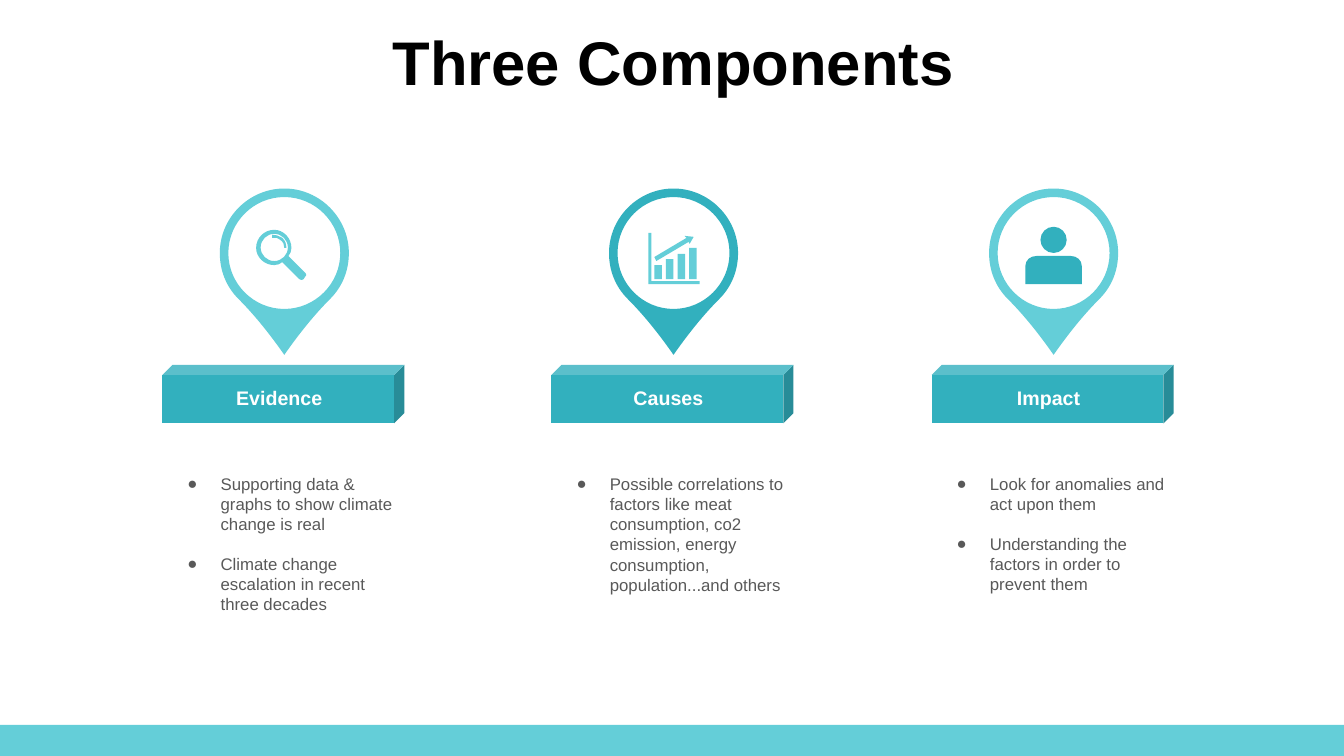
from dataclasses import dataclass

from lxml import etree
from pptx import Presentation
from pptx.dml.color import RGBColor
from pptx.enum.shapes import MSO_SHAPE
from pptx.enum.text import MSO_ANCHOR, PP_ALIGN
from pptx.oxml.ns import qn
from pptx.util import Inches, Pt

CUBE, BAR = MSO_SHAPE.CUBE, MSO_SHAPE.RECTANGLE
CENTER, LEFT = PP_ALIGN.CENTER, PP_ALIGN.LEFT
MIDDLE, TOP = MSO_ANCHOR.MIDDLE, MSO_ANCHOR.TOP

FONT = "Arial"
LIGHT, TEAL, GRAY = "64CED8", "32B0BE", "595959"
BLACK, WHITE = "000000", "FFFFFF"

PIN_OFFSET = 1.21  # from the left edge of a column to the centre of its pin
PIN_Y = 2.51

# A pair is a corner; six numbers are a Bezier curve (two controls and an end).
Contour = list[tuple[float, ...]]


def circle(x: float, y: float, r: float) -> Contour:
    k = 0.55 * r
    return [
        (x, y - r),
        (x + k, y - r, x + r, y - k, x + r, y),
        (x + r, y + k, x + k, y + r, x, y + r),
        (x - k, y + r, x - r, y + k, x - r, y),
        (x - r, y - k, x - k, y - r, x, y - r),
    ]


def box(left: float, top: float, right: float, bottom: float) -> Contour:
    return [(left, top), (right, top), (right, bottom), (left, bottom)]


# All icon contours are in inches from the centre of the pin.
PIN = [
    circle(0, 0, 0.555),
    [
        (0, -0.64),
        (0.35, -0.64, 0.64, -0.35, 0.64, 0),
        (0.64, 0.17, 0.58, 0.33, 0.455, 0.455),
        (0.29, 0.62, 0.14, 0.81, 0, 1.01),
        (-0.14, 0.81, -0.29, 0.62, -0.455, 0.455),
        (-0.58, 0.33, -0.64, 0.17, -0.64, 0),
        (-0.64, -0.35, -0.35, -0.64, 0, -0.64),
    ],
]

MAGNIFIER = [
    [(0.19, 0.18), (0.21, 0.2), (0.22, 0.21, 0.22, 0.23, 0.21, 0.23), (0.19, 0.26),
     (0.18, 0.27, 0.16, 0.27, 0.15, 0.26), (0.13, 0.24)],
    [(-0.12, -0.18), (-0.08, -0.18, -0.05, -0.17, -0.02, -0.15),
     (0.01, -0.12, 0.02, -0.09, 0.02, -0.05), (0, -0.05),
     (0, -0.08, -0.01, -0.11, -0.04, -0.13), (-0.06, -0.15, -0.09, -0.16, -0.12, -0.15)],
    circle(-0.1, -0.055, 0.135),
    [(-0.1, -0.23), (-0.01, -0.23, 0.07, -0.15, 0.07, -0.05),
     (0.07, -0.02, 0.06, 0.01, 0.04, 0.03), (0.19, 0.18), (0.13, 0.24), (-0.02, 0.09),
     (-0.04, 0.11, -0.07, 0.12, -0.1, 0.12), (-0.2, 0.12, -0.28, 0.04, -0.28, -0.05),
     (-0.28, -0.15, -0.2, -0.23, -0.1, -0.23)],
]

BAR_TOPS = [0.12, 0.06, 0.01, -0.05]
GROWTH_CHART = [
    *(box(-0.19 + 0.115 * i, top, -0.115 + 0.115 * i, 0.26) for i, top in enumerate(BAR_TOPS)),
    [(0.11, -0.17), (0.2, -0.16), (0.16, -0.09), (0.15, -0.11),
     (-0.17, 0.08), (-0.19, 0.04), (0.13, -0.15)],
    [(-0.25, -0.2), (-0.22, -0.2), (-0.22, 0.28), (0.26, 0.28), (0.26, 0.31), (-0.25, 0.31)],
]

PERSON = [
    [(-0.17, 0.03), (0.17, 0.03), (0.23, 0.03, 0.28, 0.07, 0.28, 0.13), (0.28, 0.31),
     (-0.28, 0.31), (-0.28, 0.13), (-0.28, 0.07, -0.23, 0.03, -0.17, 0.03)],
    circle(0, -0.13, 0.13),
]


@dataclass
class Component:
    left: float
    heading: str
    points: list[str]
    pin_color: str
    icon: list[Contour]
    icon_color: str


COMPONENTS = [
    Component(1.61, "Evidence",
              ["Supporting data & graphs to show climate change is real",
               "Climate change escalation in recent three decades"],
              LIGHT, MAGNIFIER, LIGHT),
    Component(5.47, "Causes",
              ["Possible correlations to factors like meat consumption, co2 emission, "
               "energy consumption, population...and others"],
              TEAL, GROWTH_CHART, LIGHT),
    Component(9.24, "Impact",
              ["Look for anomalies and act upon them",
               "Understanding the factors in order to prevent them"],
              LIGHT, PERSON, TEAL),
]


def paint(shape, color: str) -> None:
    shape.shadow.inherit = False
    shape.fill.solid()
    shape.fill.fore_color.rgb = RGBColor.from_string(color)
    shape.line.fill.background()


def add_solid(slide, kind, left: float, top: float, width: float, height: float, color: str):
    shape = slide.shapes.add_shape(kind, Inches(left), Inches(top), Inches(width), Inches(height))
    paint(shape, color)
    return shape


def add_outline(slide, contours: list[Contour], center_x: float, color: str) -> None:
    """Draw the contours as one freeform, bending its lines where a segment is a curve."""
    placed = [[[(Inches(center_x + x), Inches(PIN_Y + y))
                for x, y in zip(segment[::2], segment[1::2])] for segment in contour]
              for contour in contours]
    builder = slide.shapes.build_freeform(*placed[0][0][-1])
    for index, contour in enumerate(placed):
        if index:
            builder.move_to(*contour[0][-1])
        builder.add_line_segments([segment[-1] for segment in contour[1:]], close=True)
    shape = builder.convert_to_shape()
    segments = [segment for contour in placed for segment in contour[1:]]
    for line, segment in zip(list(shape._element.iter(qn("a:lnTo"))), segments):
        if len(segment) == 3:
            curve = etree.Element(qn("a:cubicBezTo"))
            for x, y in segment:
                etree.SubElement(curve, qn("a:pt"), x=str(x - shape.left), y=str(y - shape.top))
            line.getparent().replace(line, curve)
    paint(shape, color)


def add_bullet(paragraph) -> None:
    properties = paragraph._p.get_or_add_pPr()
    properties.set("marL", str(Inches(0.5)))
    properties.set("indent", str(Inches(-0.33)))
    bullet_color = etree.SubElement(properties, qn("a:buClr"))
    etree.SubElement(bullet_color, qn("a:srgbClr"), val=GRAY)
    etree.SubElement(properties, qn("a:buFont"), typeface=FONT)
    etree.SubElement(properties, qn("a:buChar"), char="●")


def add_text(slide, left: float, top: float, width: float, height: float, lines: list[str],
             size: float, color: str, bold=False, align=CENTER, anchor=TOP,
             bulleted=False, line_spacing=1.0) -> None:
    frame = slide.shapes.add_textbox(
        Inches(left), Inches(top), Inches(width), Inches(height)).text_frame
    frame.word_wrap = True
    frame.vertical_anchor = anchor
    for index, line in enumerate(lines):
        paragraph = frame.paragraphs[0] if index == 0 else frame.add_paragraph()
        paragraph.text = line
        if bulleted:
            add_bullet(paragraph)
        if index:
            paragraph.space_before = Pt(14)
        paragraph.alignment = align
        paragraph.line_spacing = line_spacing
        paragraph.font.name = FONT
        paragraph.font.size = Pt(size)
        paragraph.font.bold = bold
        paragraph.font.color.rgb = RGBColor.from_string(color)


def add_component(slide, part: Component) -> None:
    base = add_solid(slide, CUBE, part.left, 3.62, 2.4, 0.58, TEAL)
    base.adjustments[0] = 0.173
    pin_x = part.left + PIN_OFFSET
    add_outline(slide, PIN, pin_x, part.pin_color)
    add_outline(slide, part.icon, pin_x, part.icon_color)
    add_text(slide, part.left + 0.29, 3.78, 1.74, 0.34, [part.heading], 14, WHITE, bold=True)
    add_text(slide, part.left - 0.02, 4.65, 2.44, 1.72, part.points, 12, GRAY,
             align=LEFT, bulleted=True)


def main() -> None:
    deck = Presentation()
    deck.slide_width, deck.slide_height = Inches(13.33), Inches(7.5)
    slide = deck.slides.add_slide(deck.slide_layouts[6])
    add_solid(slide, BAR, 0, 7.19, 13.33, 0.31, LIGHT)
    add_text(slide, 0.35, 0.25, 12.66, 0.79, ["Three Components"], 44, BLACK, bold=True,
             anchor=MIDDLE, line_spacing=0.9)
    for part in COMPONENTS:
        add_component(slide, part)
    deck.save("out.pptx")


if __name__ == "__main__":
    main()
